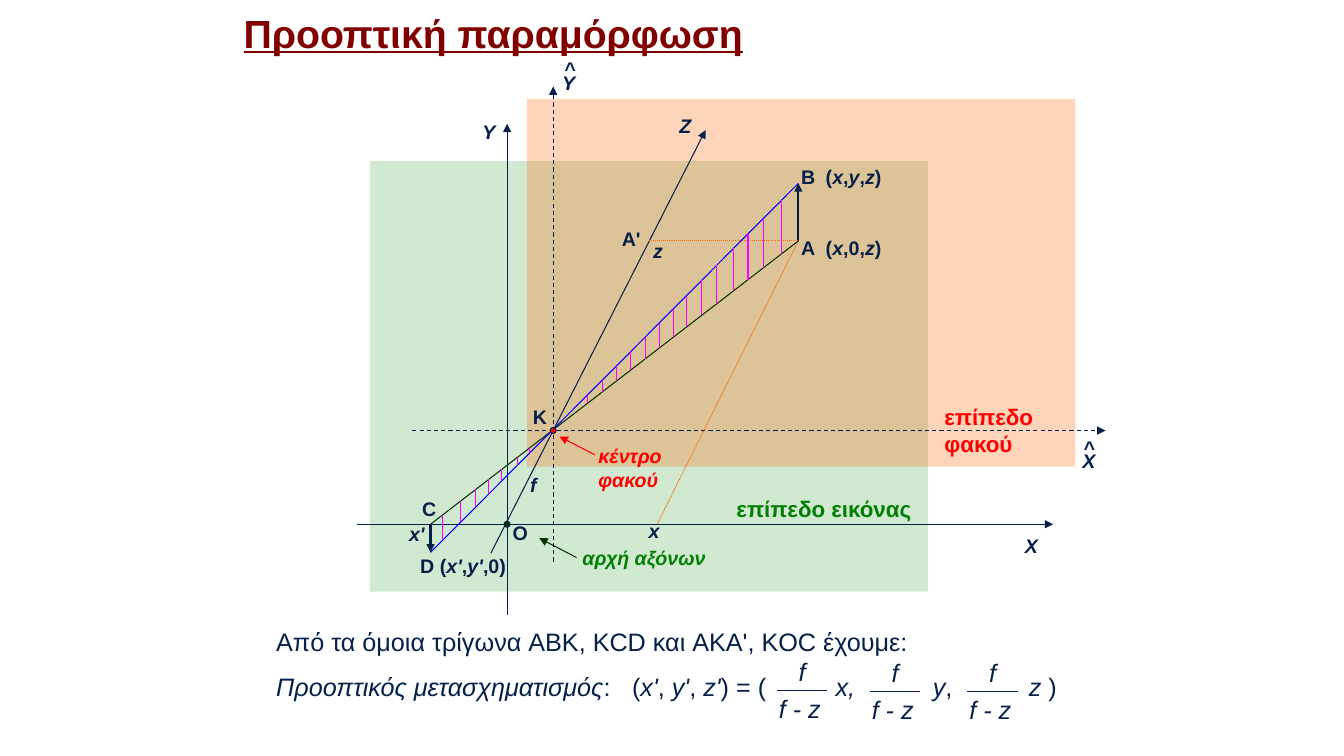
from lxml.etree import SubElement
from pptx import Presentation
from pptx.dml.color import RGBColor
from pptx.enum.dml import MSO_LINE
from pptx.enum.shapes import MSO_CONNECTOR, MSO_SHAPE
from pptx.oxml.ns import qn
from pptx.util import Cm, Pt

NAVY, RED, GREEN, ORANGE = "052049", "FF0000", "008000", "FF6600"
DARK_GREEN, BLUE, MAGENTA, MAROON = "003300", "0000FF", "FF00FF", "800000"

# Points of the construction, in cm
K, O = (13.94, 10.85), (12.78, 13.21)
A, B = (20.12, 6.07), (20.12, 4.62)
C, D = (10.85, 13.21), (10.85, 13.92)
A_ON_Z, X_FOOT = (16.33, 6.07), (16.56, 13.21)

# Planes: left, top, width, height, colour, opacity in percent
PLANES = [
    (9.32, 4.06, 14.07, 10.85, GREEN, 18),
    (13.28, 2.49, 13.82, 9.27, ORANGE, 27),
]

# Lines: start, end, colour, width in points, dash, arrowhead
LINES = [
    ((8.99, O[1]), (26.54, O[1]), NAVY, 0.75, None, True),
    ((O[0], 15.49), (O[0], 3.12), NAVY, 0.75, None, True),
    ((10.39, K[1]), (27.86, K[1]), NAVY, 0.75, MSO_LINE.DASH, True),
    ((K[0], 14.15), (K[0], 2.18), NAVY, 0.75, MSO_LINE.DASH, True),
    ((12.37, 13.94), (17.78, 3.28), NAVY, 0.75, None, True),
    (A, B, NAVY, 1.5, None, True),
    (A, X_FOOT, ORANGE, 0.75, MSO_LINE.ROUND_DOT, False),
    (A, A_ON_Z, ORANGE, 0.75, MSO_LINE.ROUND_DOT, False),
    (C, A, DARK_GREEN, 0.75, None, False),
    (B, D, BLUE, 0.75, None, False),
    (C, D, NAVY, 1.5, None, True),
    ((14.99, 11.46), (14.1, 11.0), RED, 0.75, None, True),
    ((14.53, 14.05), (13.59, 13.56), DARK_GREEN, 0.75, None, True),
]
HATCH_X = [11.15, 11.61, 11.99, 12.32, 12.65, 13.03, 13.34,
           14.81, 15.19, 15.54, 15.9, 16.26, 16.61, 16.97, 17.3,
           17.68, 18.06, 18.49, 18.85, 19.23, 19.69]
DOTS = [(K, RED), (O, DARK_GREEN)]

# Texts alternate upright and italic runs
# Point and axis labels: left, top, width, runs
LABELS = [
    (25.58, 13.34, 0.89, ["", "X"]),
    (11.91, 2.9, 0.89, ["", "Y"]),
    (13.92, 1.65, 0.89, ["", "Y"]),
    (13.97, 1.32, 0.84, ["", "^"]),
    (27.03, 11.18, 0.89, ["", "X"]),
    (27.05, 10.87, 0.84, ["", "^"]),
    (16.87, 2.74, 0.89, ["", "Z"]),
    (16.1, 12.95, 0.89, ["", "x"]),
    (16.21, 5.89, 0.89, ["", "z"]),
    (10.06, 13.03, 1.22, ["", "x'"]),
    (13.11, 11.79, 0.79, ["", "f"]),
    (15.42, 5.59, 1.17, ["A'"]),
    (13.18, 10.08, 1.17, ["K"]),
    (10.39, 12.4, 1.17, ["C"]),
    (12.67, 13.0, 1.17, ["O"]),
    (10.34, 13.84, 2.77, ["D (", "x'", ",", "y'", ",0)"]),
    (19.94, 5.82, 3.45, ["A\t(", "x", ",0,", "z", ")"]),
    (19.94, 4.04, 2.84, ["B\t(", "x", ",", "y", ",", "z", ")"]),
]
COORDINATES_TAB = [0.62]

# Captions: left, top, width, lines, size, colour, runs
CAPTIONS = [
    (18.31, 12.34, 5.44, 1, 16, GREEN, ["επίπεδο εικόνας"]),
    (23.55, 10.03, 3.28, 2, 16, RED, ["επίπεδο φακού"]),
    (14.83, 11.07, 3.18, 2, 14, RED, ["", "κέντρο φακού"]),
    (14.43, 13.64, 5.36, 1, 14, GREEN, ["", "αρχή αξόνων"]),
]

TITLE = "Προοπτική παραμόρφωση"
CONCLUSION = [
    ["Από τα όμοια τρίγωνα ABK, KCD και AKA', KOC έχουμε:"],
    ["", "Προοπτικός μετασχηματισμός", ":\t(", "x'", ", ", "y'", ", ", "z'",
     ") = (", "\tx,\ty", ",\t", "z ", ")"],
]
FORMULA_TABS = [8.97, 14.1, 16.55, 18.97]
FRACTIONS = [(19.58, 17.4), (21.92, 17.42), (24.38, 17.42)]  # left end of each bar
NUMERATOR, DENOMINATOR, BAR = "f", "f - z", 1.27

presentation = Presentation()
presentation.slide_width, presentation.slide_height = Cm(33.87), Cm(19.05)
slide = presentation.slides.add_slide(presentation.slide_layouts[6])
shapes = slide.shapes


def paint(color_format, hex_color):
    color_format.rgb = RGBColor.from_string(hex_color)


def add_line(start, end, color=NAVY, width=0.75, dash=None, arrow=False):
    connector = shapes.add_connector(MSO_CONNECTOR.STRAIGHT, *map(Cm, start + end))
    paint(connector.line.color, color)
    connector.line.width = Pt(width)
    if dash is not None:
        connector.line.dash_style = dash
    properties = connector.element.spPr
    if arrow:
        SubElement(properties.find(qn("a:ln")), qn("a:tailEnd"), type="triangle")
    SubElement(properties, qn("a:effectLst"))


def add_filled(kind, left, top, width, height, color):
    shape = shapes.add_shape(kind, Cm(left), Cm(top), Cm(width), Cm(height))
    shape.shadow.inherit = False
    shape.fill.solid()
    paint(shape.fill.fore_color, color)
    return shape


def add_text(left, top, width, paragraphs, size=14, color=NAVY, bold=True,
             underline=False, lines=1, gap=0, tabs=()):
    height = 0.25 + 0.042 * size * lines + 0.035 * gap
    frame = shapes.add_textbox(Cm(left), Cm(top), Cm(width), Cm(height)).text_frame
    frame.word_wrap = True
    for number, runs in enumerate(paragraphs):
        paragraph = frame.add_paragraph() if number else frame.paragraphs[0]
        if number:
            paragraph.space_before = Pt(gap)
        if any("\t" in text for text in runs):
            stops = SubElement(paragraph._p.get_or_add_pPr(), qn("a:tabLst"))
            for position in tabs:
                SubElement(stops, qn("a:tab"), pos=str(int(Cm(position))), algn="l")
        for index, text in enumerate(runs):
            if not text:
                continue
            run = paragraph.add_run()
            run.text = text
            font = run.font
            font.name, font.size, font.bold = "Arial", Pt(size), bold
            font.italic, font.underline = index % 2 == 1, underline
            paint(font.color, color)


def height_at(x, start, end):
    """Height of the line through start and end at x."""
    return start[1] + (x - start[0]) * (end[1] - start[1]) / (end[0] - start[0])


# Transparent planes
for *box, color, opacity in PLANES:
    plane = add_filled(MSO_SHAPE.RECTANGLE, *box, color)
    plane.line.fill.background()
    tint = plane.element.spPr.find(qn("a:solidFill"))[0]
    SubElement(tint, qn("a:alpha"), val=str(opacity * 1000))

# Axes, rays and pointers
for line in LINES:
    add_line(*line)

# Hatching of the two similar triangles
for x in HATCH_X:
    add_line((x, height_at(x, C, A)), (x, height_at(x, D, B)), MAGENTA)

# Lens centre and origin
DOT = 0.15
for (x, y), color in DOTS:
    dot = add_filled(MSO_SHAPE.OVAL, x - DOT / 2, y - DOT / 2, DOT, DOT, color)
    paint(dot.line.color, NAVY)
    dot.line.width = Pt(0.75)

# Labels and captions
for left, top, width, runs in LABELS:
    add_text(left, top, width, [runs], tabs=COORDINATES_TAB)
for left, top, width, lines, size, color, runs in CAPTIONS:
    add_text(left, top, width, [runs], size, color, lines=lines)

# Title, conclusion and fractions
add_text(5.89, 0.1, 14.02, [[TITLE]], 28, MAROON, underline=True)
add_text(6.71, 15.67, 21.69, CONCLUSION, 18, bold=False, lines=2, gap=10,
         tabs=FORMULA_TABS)
for left, top in FRACTIONS:
    add_text(left + 0.3, top - 0.99, 0.99, [["", NUMERATOR]], 18, bold=False)
    add_text(left - 0.2, top - 0.05, 1.83, [["", DENOMINATOR]], 18, bold=False)
    add_line((left, top), (left + BAR, top))

presentation.save("out.pptx")
